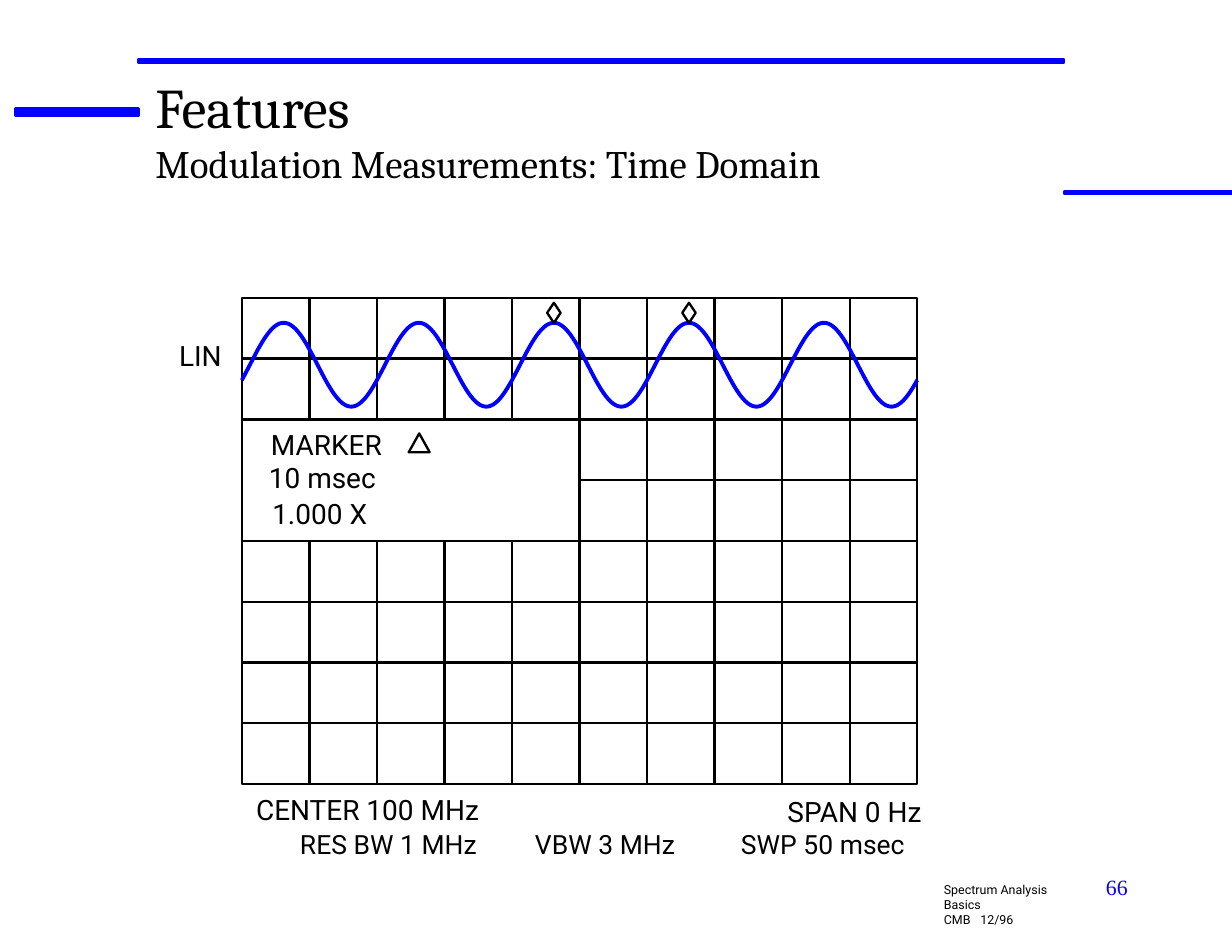
"""Build the time-domain modulation measurement slide."""
import math
from dataclasses import dataclass

import lxml.etree
import pptx
import pptx.dml.color
import pptx.enum.shapes
import pptx.enum.text
import pptx.oxml.ns
import pptx.util

RGBColor = pptx.dml.color.RGBColor
MSO_SHAPE = pptx.enum.shapes.MSO_SHAPE
ANCHOR = pptx.enum.text.MSO_ANCHOR
ALIGN = pptx.enum.text.PP_ALIGN
BLACK = RGBColor(0x00, 0x00, 0x00)
BLUE = RGBColor(0x00, 0x00, 0xFF)
COLS, ROWS = 10, 8
LEFT, TOP, WIDTH, HEIGHT = 2.16, 2.66, 6.03, 4.34
PEAK, PERIOD, MIDDLE, AMPLITUDE = 0.62, 2, 1.1, 0.69


@dataclass
class Box:
    """Place and size in columns and rows of the screen grid."""
    col: float
    row: float
    cols: float
    rows: float


@dataclass
class Label:
    """Text of the screen with its place and format."""
    text: str
    box: Box
    size: float = 18
    align: ALIGN = ALIGN.LEFT
    tabs: tuple[float, ...] = ()


BARS = [Box(-3.35, -3.12, 1.82, 0.13), Box(-1.53, -3.93, 13.7, 0.06), Box(12.17, -1.75, 2.49, 0.04)]
LABELS = [
    Label("LIN", Box(-0.93, 0.68, 0.68, 0.55)),
    Label("MARKER", Box(0.43, 2.14, 1.87, 0.55)),
    Label("10 msec", Box(0.4, 2.29, 5.12, 0.94)),
    Label("1.000 X", Box(0.45, 2.95, 2.84, 0.87)),
    Label("CENTER 100 MHz", Box(-0.53, 7.82, 4.78, 0.87), align=ALIGN.CENTER),
    Label("SPAN 0 Hz", Box(6.93, 7.85, 4.28, 0.87), align=ALIGN.CENTER),
    Label("RES BW 1 MHz\tVBW 3 MHz\tSWP 50 msec", Box(0.86, 8.26, 10.23, 0.99), 17, tabs=(3.48, 6.53)),
]


def across(cols: float) -> int:
    """Return the length of some columns."""
    return pptx.util.Inches(cols * WIDTH / COLS)


def down(rows: float) -> int:
    """Return the length of some rows."""
    return pptx.util.Inches(rows * HEIGHT / ROWS)


def point(col: float, row: float) -> tuple[int, int]:
    """Return the slide position of a grid position."""
    return pptx.util.Inches(LEFT) + across(col), pptx.util.Inches(TOP) + down(row)


def place(box: Box) -> tuple[int, int, int, int]:
    """Return left, top, width and height of a box."""
    return *point(box.col, box.row), across(box.cols), down(box.rows)


def write(sp, text: str, *, size=18, font="Roboto", color=BLACK, align=ALIGN.LEFT,
          anchor=ANCHOR.TOP, inset=True, sizes=(), tabs=()) -> None:
    """Fill a shape with formatted text, one paragraph a line."""
    tf = sp.text_frame
    tf.word_wrap = True
    tf.auto_size = pptx.enum.text.MSO_AUTO_SIZE.NONE
    tf.vertical_anchor = anchor
    if not inset:
        tf.margin_left = tf.margin_top = tf.margin_right = tf.margin_bottom = 0
    for i, line in enumerate(text.split("\n")):
        p = tf.add_paragraph() if i else tf.paragraphs[0]
        p.alignment = align
        r = p.add_run()
        r.text = line
        r.font.name = font
        r.font.size = pptx.util.Pt(sizes[i] if sizes else size)
        r.font.color.rgb = color
        if tabs:
            qn = pptx.oxml.ns.qn
            stops = lxml.etree.SubElement(p._p.get_or_add_pPr(), qn("a:tabLst"))
            for tab in tabs:
                lxml.etree.SubElement(stops, qn("a:tab"), pos=str(across(tab)), algn="l")


def outline(sp, color: RGBColor = BLACK, width: float = 1.5) -> None:
    """Give a shape a plain line without fill or shadow."""
    sp.shadow.inherit = False
    sp.fill.background()
    sp.line.color.rgb = color
    sp.line.width = pptx.util.Pt(width)


def draw_shape(s, kind: MSO_SHAPE, box: Box):
    """Add an outlined preset shape."""
    sp = s.shapes.add_shape(kind, *place(box))
    outline(sp)
    return sp


def draw_bar(s, box: Box) -> None:
    """Add a solid blue bar."""
    sp = draw_shape(s, MSO_SHAPE.ROUNDED_RECTANGLE, box)
    sp.adjustments[0] = 0
    sp.fill.solid()
    sp.fill.fore_color.rgb = BLUE
    sp.line.color.rgb = BLUE


def draw_line(s, start: tuple[float, float], end: tuple[float, float]):
    """Add a grid line."""
    line = s.shapes.add_connector(pptx.enum.shapes.MSO_CONNECTOR.STRAIGHT, *point(*start), *point(*end))
    line.line.color.rgb = BLACK
    line.line.width = pptx.util.Pt(1.5)
    lxml.etree.SubElement(line._element.spPr, pptx.oxml.ns.qn("a:effectLst"))
    return line


def draw_grid(s) -> None:
    """Add the screen frame and its grid, open behind the marker readout."""
    frame = draw_shape(s, MSO_SHAPE.RECTANGLE, Box(0, 0, COLS, ROWS))
    for col in range(1, COLS):
        for top, bottom in [(0, 2), (4, ROWS)] if col < 5 else [(0, ROWS)]:
            line = draw_line(s, (col, top), (col, bottom))
        if col == COLS / 2:
            line.begin_connect(frame, 0)
            line.end_connect(frame, 2)
    for row in range(1, ROWS):
        line = draw_line(s, (5 if row == 3 else 0, row), (COLS, row))
        if row == ROWS / 2:
            line.begin_connect(frame, 1)
            line.end_connect(frame, 3)


def draw_wave(s, steps: int = 400) -> None:
    """Add the demodulated sine wave."""
    cols = [COLS * i / steps for i in range(steps + 1)]
    points = [point(c, MIDDLE - AMPLITUDE * math.cos(2 * math.pi * (c - PEAK) / PERIOD)) for c in cols]
    fb = s.shapes.build_freeform(*points[0])
    fb.add_line_segments(points[1:], close=False)
    outline(fb.convert_to_shape(), BLUE, 2.5)


def main() -> None:
    """Build and save the slide."""
    prs = pptx.Presentation()
    prs.slide_width, prs.slide_height = pptx.util.Inches(11), pptx.util.Inches(8.5)
    s = prs.slides.add_slide(prs.slide_layouts[5])
    title = s.shapes.title
    title.left, title.top, title.width, title.height = place(Box(-1.28, -3.71, 14.69, 1.84))
    write(title, "Features\nModulation Measurements: Time Domain", font="Cambria", sizes=(36, 25), inset=False)
    for bar in BARS:
        draw_bar(s, bar)
    footer = s.shapes.add_textbox(*place(Box(10.23, 9.53, 2.26, 0.68)))
    write(footer, "Spectrum Analysis Basics\nCMB\t12/96", size=8, tabs=(0.54,))
    number = s.shapes.add_textbox(*place(Box(9.55, 9.38, 3.73, 1.07)))
    write(number, "66", size=14, font="Times New Roman", color=BLUE, align=ALIGN.RIGHT)
    draw_grid(s)
    draw_wave(s)
    for cycle in (2, 3):
        draw_shape(s, MSO_SHAPE.DIAMOND, Box(PEAK + cycle * PERIOD - 0.1, MIDDLE - AMPLITUDE - 0.33, 0.2, 0.33))
    draw_shape(s, MSO_SHAPE.ISOSCELES_TRIANGLE, Box(2.47, 2.23, 0.31, 0.31))
    for label in LABELS:
        sp = s.shapes.add_textbox(*place(label.box))
        write(sp, label.text, size=label.size, align=label.align, anchor=ANCHOR.BOTTOM,
              inset=False, tabs=label.tabs)
    prs.save("out.pptx")


if __name__ == "__main__":
    main()
